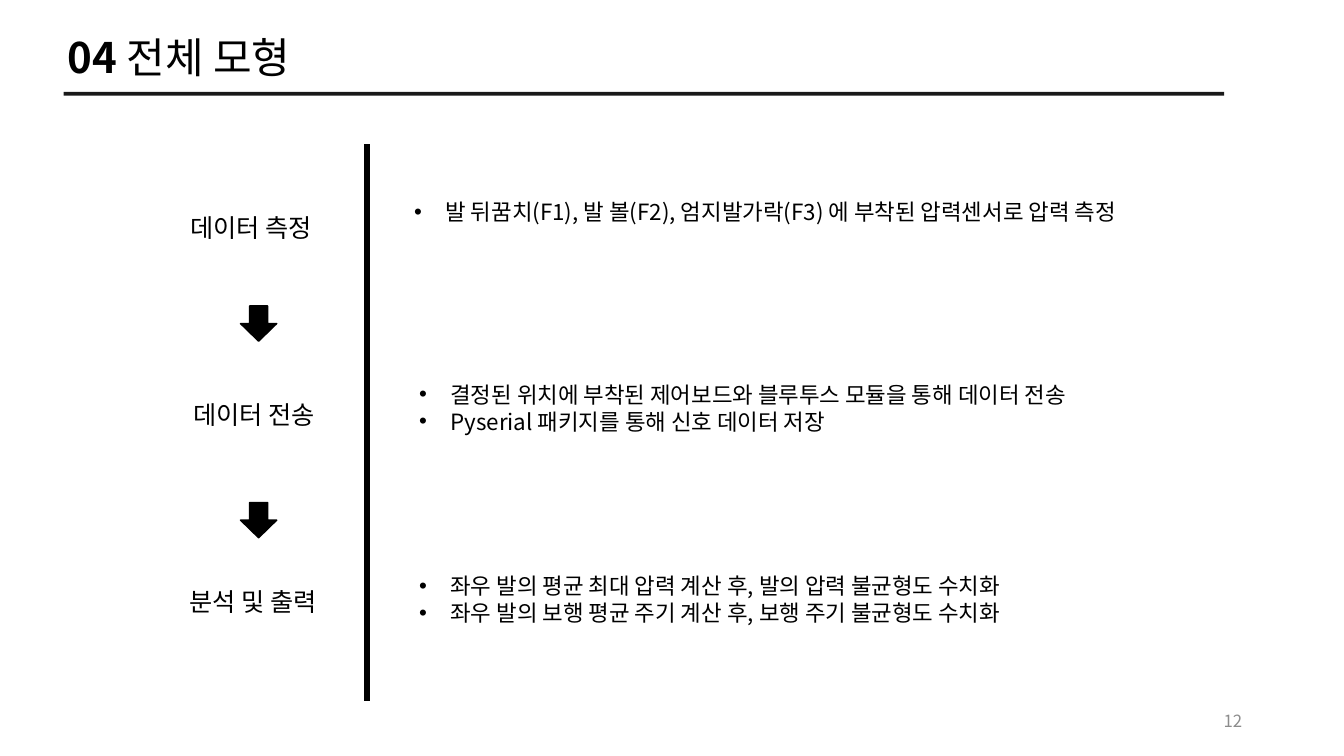
"""Build the overall model slide: three process steps with their details."""
from dataclasses import dataclass

from lxml import etree
from pptx import Presentation
from pptx.dml.color import RGBColor
from pptx.enum.shapes import MSO_CONNECTOR, MSO_SHAPE
from pptx.enum.text import MSO_ANCHOR, MSO_AUTO_SIZE, PP_ALIGN
from pptx.oxml.ns import qn
from pptx.slide import Slide
from pptx.text.text import _Paragraph
from pptx.util import Emu, Pt

STRAIGHT = MSO_CONNECTOR.STRAIGHT
RIGHT_ARROW = MSO_SHAPE.RIGHT_ARROW
TOP, MIDDLE = MSO_ANCHOR.TOP, MSO_ANCHOR.MIDDLE
GROW, FIXED = MSO_AUTO_SIZE.SHAPE_TO_FIT_TEXT, MSO_AUTO_SIZE.NONE
LEFT, RIGHT = PP_ALIGN.LEFT, PP_ALIGN.RIGHT

EMU_PER_PX = 9144
FONT = "Noto Sans CJK KR"
COLORS = {"ink": "000000", "page_number": "8C8C8C"}
BULLET_INDENT = 31


@dataclass(frozen=True)
class Label:
    box: tuple[int, int, int, int]
    paragraphs: tuple[tuple[str, ...], ...]
    size: int
    color: str = "ink"
    bulleted: bool = False
    align: PP_ALIGN = LEFT
    anchor: MSO_ANCHOR = TOP
    auto_size: MSO_AUTO_SIZE = GROW


@dataclass(frozen=True)
class Rule:
    start: tuple[int, int]
    end: tuple[int, int]
    width: float
    opacity: int = 100


@dataclass(frozen=True)
class Step:
    name: str
    name_box: tuple[int, int, int, int]
    details: tuple[str, ...]
    details_box: tuple[int, int, int, int]


STEPS = (
    Step("데이터 측정", (179, 206, 156, 40),
         ("발 뒤꿈치(F1), 발 볼(F2), 엄지발가락(F3) 에 부착된 압력센서로 압력 측정",),
         (401, 192, 840, 37)),
    Step("데이터 전송", (182, 391, 156, 40),
         ("결정된 위치에 부착된 제어보드와 블루투스 모듈을 통해 데이터 전송",
          "Pyserial 패키지를 통해 신호 데이터 저장"),
         (406, 373, 794, 64)),
    Step("분석 및 출력", (178, 577, 165, 40),
         ("좌우 발의 평균 최대 압력 계산 후, 발의 압력 불균형도 수치화",
          "좌우 발의 보행 평균 주기 계산 후, 보행 주기 불균형도 수치화"),
         (406, 563, 840, 64)),
)
TITLE = Label((57, 26, 349, 94), (("04 ", "전체 모형"),), 30)
PAGE_NUMBER = Label((942, 695, 300, 40), (("12",),), 12, "page_number",
                    align=RIGHT, anchor=MIDDLE, auto_size=FIXED)
RULES = (
    Rule((63, 93), (1214, 93), 2.75, 90),
    Rule((364, 143), (364, 695), 4),
)
ARROW_BOXES = tuple((239, top, 35, 36) for top in (303, 498))


def px(value: int) -> Emu:
    return Emu(value * EMU_PER_PX)


def rgb(name: str) -> RGBColor:
    return RGBColor.from_string(COLORS[name])


def add_bullet(paragraph: _Paragraph) -> None:
    properties = paragraph._p.get_or_add_pPr()
    properties.set("marL", str(px(BULLET_INDENT)))
    properties.set("indent", str(px(-BULLET_INDENT)))
    etree.SubElement(properties, qn("a:buFont")).set("typeface", "Arial")
    etree.SubElement(properties, qn("a:buChar")).set("char", "•")


def add_run(paragraph: _Paragraph, text: str, label: Label, bold: bool) -> None:
    run = paragraph.add_run()
    run.text = text
    font_format = {"name": FONT, "size": Pt(label.size), "bold": bold}
    for attribute, value in font_format.items():
        setattr(run.font, attribute, value)
    run.font.color.rgb = rgb(label.color)
    east_asian = etree.SubElement(run._r.get_or_add_rPr(), qn("a:ea"))
    east_asian.set("typeface", FONT)


def add_label(slide: Slide, label: Label) -> None:
    shape = slide.shapes.add_textbox(*map(px, label.box))
    frame = shape.text_frame
    frame_format = {"word_wrap": True, "auto_size": label.auto_size,
                    "vertical_anchor": label.anchor}
    for attribute, value in frame_format.items():
        setattr(frame, attribute, value)
    for index, runs in enumerate(label.paragraphs):
        paragraph = frame.add_paragraph() if index else frame.paragraphs[0]
        paragraph.alignment = label.align
        if label.bulleted:
            add_bullet(paragraph)
        for position, text in enumerate(runs):
            add_run(paragraph, text, label, bold=position < len(runs) - 1)


def add_rule(slide: Slide, rule: Rule) -> None:
    connector = slide.shapes.add_connector(
        STRAIGHT, *map(px, rule.start + rule.end))
    connector.line.width = Pt(rule.width)
    connector.line.color.rgb = rgb("ink")
    properties = connector._element.spPr
    if rule.opacity < 100:
        color = properties.find(".//" + qn("a:srgbClr"))
        etree.SubElement(color, qn("a:alpha")).set(
            "val", str(rule.opacity * 1000))
    etree.SubElement(properties, qn("a:effectLst"))


def add_arrow(slide: Slide, box: tuple[int, int, int, int]) -> None:
    shape = slide.shapes.add_shape(RIGHT_ARROW, *map(px, box))
    shape.rotation = 90
    shape.shadow.inherit = False
    shape.fill.solid()
    shape.fill.fore_color.rgb = rgb("ink")
    shape.line.color.rgb = rgb("ink")
    shape.line.width = Pt(1)


def main() -> None:
    presentation = Presentation()
    presentation.slide_width = px(1333)
    presentation.slide_height = px(750)
    slide = presentation.slides.add_slide(presentation.slide_layouts[6])
    add_label(slide, TITLE)
    for rule in RULES:
        add_rule(slide, rule)
    for box in ARROW_BOXES:
        add_arrow(slide, box)
    for step in STEPS:
        add_label(slide, Label(step.name_box, ((step.name,),), 18))
        details = tuple((detail,) for detail in step.details)
        add_label(slide, Label(step.details_box, details, 16, bulleted=True))
    add_label(slide, PAGE_NUMBER)
    presentation.save("out.pptx")


if __name__ == "__main__":
    main()
